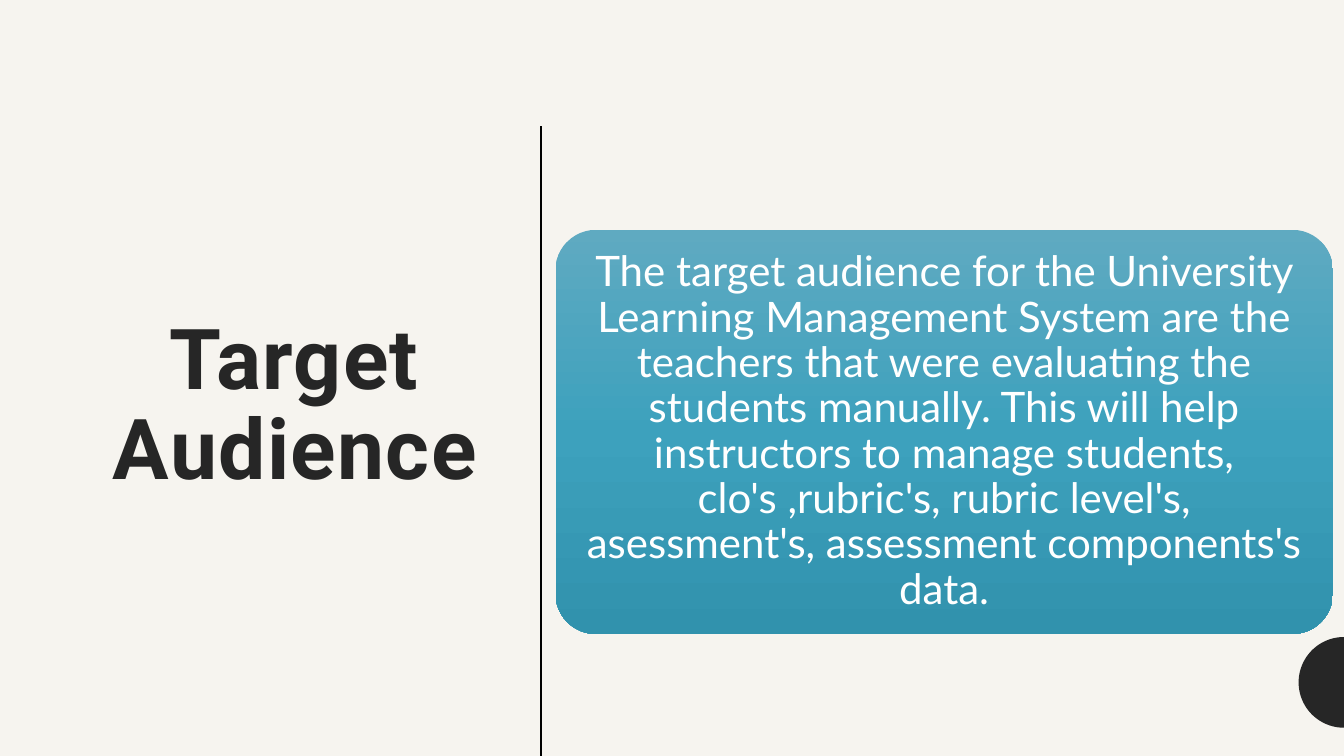
from copy import deepcopy
from math import cos, pi, sin

from lxml import etree
from pptx import Presentation
from pptx.dml.color import RGBColor
from pptx.enum.shapes import MSO_CONNECTOR, MSO_SHAPE
from pptx.enum.text import MSO_ANCHOR, MSO_AUTO_SIZE, PP_ALIGN
from pptx.oxml.ns import qn
from pptx.util import Inches, Pt

COLORS = {
    "background": "F6F4EF",
    "dark": "262626",
    "divider": "000000",
    "card_text": "FFFFFF",
}
CARD_GRADIENT = [(0, "5FAAC1"), (0.5, "3DA1BD"), (1, "3192AD")]
AUDIENCE = (
    "The target audience for the University Learning Management System are the "
    "teachers that were evaluating the students manually. This will help "
    "instructors to manage students, clo's ,rubric's, rubric level's, "
    "asessment's, assessment components's data."
)


def rgb(name):
    return RGBColor.from_string(COLORS[name])


def add_centred_run(frame, text, font_name, size, color):
    frame.word_wrap = True
    frame.auto_size = MSO_AUTO_SIZE.NONE
    paragraph = frame.paragraphs[0]
    paragraph.alignment = PP_ALIGN.CENTER
    paragraph.line_spacing = 0.9
    run = paragraph.add_run()
    run.text = text
    run.font.name = font_name
    run.font.size = Pt(size)
    run.font.color.rgb = rgb(color)
    return run


prs = Presentation()
prs.slide_width, prs.slide_height = Inches(13.33), Inches(7.5)
slide = prs.slides.add_slide(prs.slide_layouts[5])
slide.background.fill.solid()
slide.background.fill.fore_color.rgb = rgb("background")

# Title
title = slide.shapes.title
title.left, title.top = Inches(0.83), Inches(3.09)
title.width, title.height = Inches(4.19), Inches(2.94)
title.text_frame.vertical_anchor = MSO_ANCHOR.TOP
heading = add_centred_run(title.text_frame, "Target Audience", "Roboto", 60, "dark")
heading.font.bold = True
heading.font._element.set("spc", "100")

# Divider running off the bottom edge
divider = slide.shapes.add_connector(
    MSO_CONNECTOR.STRAIGHT, Inches(5.37), Inches(1.25), Inches(5.37), Inches(7.5)
)
divider.line.color.rgb = rgb("divider")
divider.line.width = Pt(1.5)
etree.SubElement(divider._element.spPr, qn("a:effectLst"))

# Half disc against the right edge
center_x, center_y, radius, steps = 13.33, 6.77, 0.45, 48
arc = [
    (
        Inches(center_x - radius * sin(pi * step / steps)),
        Inches(center_y - radius * cos(pi * step / steps)),
    )
    for step in range(steps + 1)
]
outline = slide.shapes.build_freeform(*arc[0])
outline.add_line_segments(arc[1:], close=True)
half_disc = outline.convert_to_shape()
half_disc.shadow.inherit = False
half_disc.fill.solid()
half_disc.fill.fore_color.rgb = rgb("dark")
half_disc.line.fill.background()

# Audience card
card = slide.shapes.add_shape(
    MSO_SHAPE.ROUNDED_RECTANGLE, Inches(5.51), Inches(2.28), Inches(7.71), Inches(4.01)
)
card.adjustments[0] = 0.1
card.shadow.inherit = False
card.line.fill.background()
card.fill.gradient()
card.fill.gradient_angle = 270
stop_list = card._element.spPr.find(qn("a:gradFill")).find(qn("a:gsLst"))
stop_list.append(deepcopy(stop_list[-1]))
for stop, (position, color) in zip(card.fill.gradient_stops, CARD_GRADIENT):
    stop.position = position
    stop.color.rgb = RGBColor.from_string(color)

card_frame = card.text_frame
card_frame.vertical_anchor = MSO_ANCHOR.MIDDLE
card_frame.margin_left = card_frame.margin_right = Inches(0.12)
card_frame.margin_top = card_frame.margin_bottom = Inches(0.12)
add_centred_run(card_frame, AUDIENCE, "Lato", 30, "card_text")

prs.save("out.pptx")
